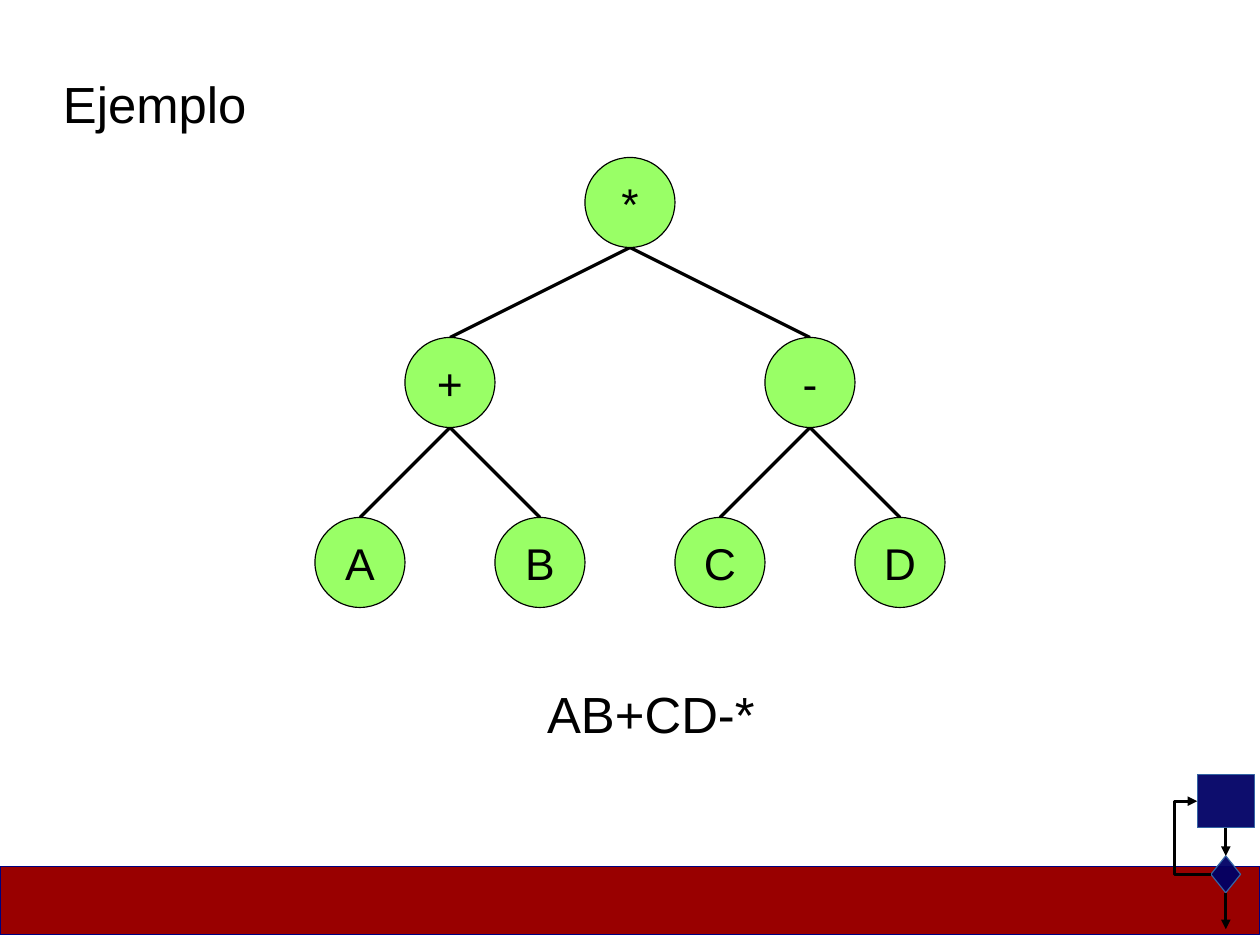
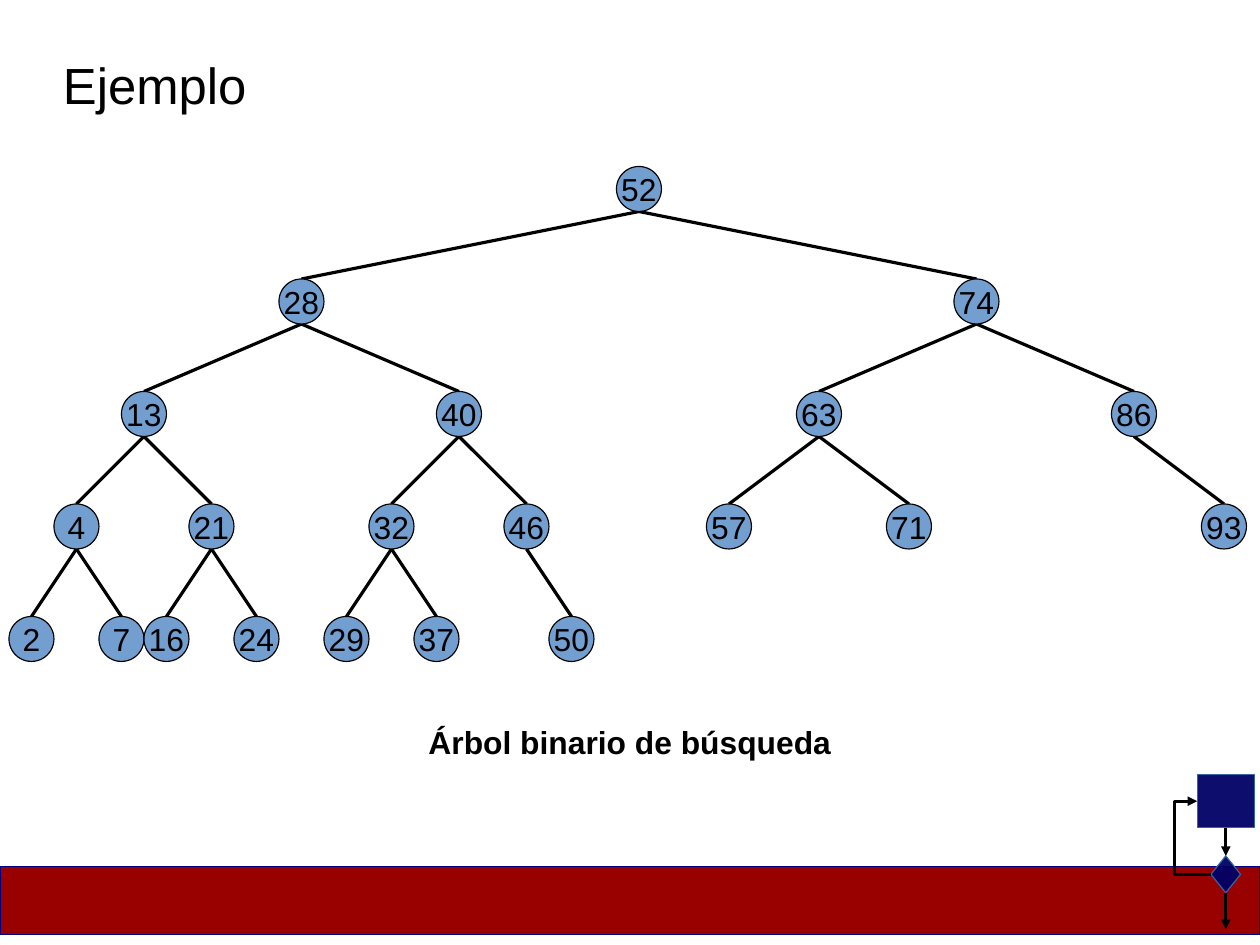
from lxml import etree
from pptx import Presentation
from pptx.dml.color import RGBColor
from pptx.enum.shapes import MSO_CONNECTOR, MSO_SHAPE
from pptx.enum.text import MSO_ANCHOR, PP_ALIGN
from pptx.oxml.ns import qn
from pptx.util import Cm, Pt

RECTANGLE = MSO_SHAPE.RECTANGLE
ELLIPSE = MSO_SHAPE.OVAL
PROCESS = MSO_SHAPE.FLOWCHART_PROCESS
DECISION = MSO_SHAPE.FLOWCHART_DECISION
STRAIGHT = MSO_CONNECTOR.STRAIGHT
ELBOW = MSO_CONNECTOR.ELBOW
TOP, MIDDLE = MSO_ANCHOR.TOP, MSO_ANCHOR.MIDDLE
LEFT, CENTER = PP_ALIGN.LEFT, PP_ALIGN.CENTER

SLIDE_WIDTH, SLIDE_HEIGHT = 28, 21
MARGIN = 1.4
HAIRLINE = Pt(0)
COLORS = {
    "ink": "000000",
    "band": "990000",
    "band_edge": "000080",
    "flow": "000066",
    "flow_edge": "3465A4",
    "expression_node": "99FF66",
    "search_node": "729FCF",
}
FONTS = {
    "title": {"name": "Arial", "size": Pt(32), "bold": False},
    "caption": {"name": "Arial", "size": Pt(20), "bold": True},
    "expression_node": {"name": "Arial", "size": Pt(28), "bold": False},
    "search_node": {"name": "Arial", "size": Pt(20), "bold": False},
}

EXPRESSION_TREE = ("*", 4, ("+", 2, ("A",), ("B",)), ("-", 2, ("C",), ("D",)))
SEARCH_TREE = (
    "52", 7.5,
    ("28", 3.5,
     ("13", 1.5, ("4", 1, ("2",), ("7",)), ("21", 1, ("16",), ("24",))),
     ("40", 1.5, ("32", 1, ("29",), ("37",)), ("46", 1, None, ("50",)))),
    ("74", 3.5,
     ("63", 2, ("57",), ("71",)),
     ("86", 2, None, ("93",))),
)


def color(name):
    return RGBColor.from_string(COLORS[name])


def write(frame, text, style, align, anchor, wrap):
    settings = {"word_wrap": wrap, "vertical_anchor": anchor}
    settings.update({f"margin_{side}": 0 for side in ("left", "top", "right", "bottom")})
    for key, value in settings.items():
        setattr(frame, key, value)
    para = frame.paragraphs[0]
    para.alignment = align
    span = para.add_run()
    span.text = text
    for key, value in FONTS[style].items():
        setattr(span.font, key, value)
    span.font.color.rgb = color("ink")


def add_text(page, left, top, width, height, text, style, align=LEFT):
    box = page.shapes.add_textbox(Cm(left), Cm(top), Cm(width), Cm(height))
    write(box.text_frame, text, style, align, TOP, True)


def add_box(page, kind, left, top, width, height, fill, edge, opacity=None):
    box = page.shapes.add_shape(kind, Cm(left), Cm(top), Cm(width), Cm(height))
    box.shadow.inherit = False
    box.fill.solid()
    box.fill.fore_color.rgb = color(fill)
    box.line.color.rgb = color(edge)
    box.line.width = HAIRLINE
    if opacity is not None:
        paint = box._element.spPr.find(qn("a:solidFill")).find(qn("a:srgbClr"))
        etree.SubElement(paint, qn("a:alpha"), val=str(opacity * 1000))
    return box


def add_line(page, start, end, kind=STRAIGHT, arrow=False, bend=None):
    ends = [Cm(value) for value in (*start, *end)]
    line = page.shapes.add_connector(kind, *ends)
    line.line.color.rgb = color("ink")
    line.line.width = HAIRLINE
    properties = line._element.spPr
    if arrow:
        etree.SubElement(properties.find(qn("a:ln")), qn("a:tailEnd"), type="triangle")
    if bend is not None:
        guides = properties.find(qn("a:prstGeom")).find(qn("a:avLst"))
        etree.SubElement(guides, qn("a:gd"), name="adj1", fmla=f"val {round(bend * 100000)}")
    etree.SubElement(properties, qn("a:effectLst"))


def add_tree(page, tree, center, top, diameter, step, style):
    label, *branches = tree
    if branches:
        spread, *children = branches
        for child, side in zip(children, (-1, 1)):
            if child is None:
                continue
            child_center = center + side * spread
            add_line(page, (child_center, top + step), (center, top + diameter))
            add_tree(page, child, child_center, top + step, diameter, step, style)
    node = add_box(page, ELLIPSE, center - diameter / 2, top, diameter, diameter, style, "ink")
    write(node.text_frame, label, style, CENTER, MIDDLE, False)


def add_flow_icon(page):
    center = 27.24
    process_width, process_height, process_top = 1.27, 1.17, 17.22
    decision_width, decision_height, decision_top = 0.66, 0.82, 19.02
    process_left = center - process_width / 2
    decision_left = center - decision_width / 2
    process_bottom = process_top + process_height
    decision_bottom = decision_top + decision_height
    add_box(page, DECISION, decision_left, decision_top, decision_width, decision_height,
            "flow", "flow_edge", 95)
    add_box(page, PROCESS, process_left, process_top, process_width, process_height,
            "flow", "flow_edge", 95)
    add_line(page, (center, process_bottom), (center, decision_top), arrow=True)
    add_line(page, (decision_left, decision_top + decision_height / 2),
             (process_left, process_top + process_height / 2), ELBOW, True, 2.64)
    add_line(page, (center, decision_bottom), (center, 20.65), arrow=True)


def add_page(deck, title, title_top):
    page = deck.slides.add_slide(deck.slide_layouts[6])
    add_box(page, RECTANGLE, 0, 19.25, SLIDE_WIDTH, 1.52, "band", "band_edge")
    add_flow_icon(page)
    add_text(page, MARGIN, title_top, SLIDE_WIDTH - 2 * MARGIN, 1.3, title, "title")
    return page


def main():
    deck = Presentation()
    deck.slide_width, deck.slide_height = Cm(SLIDE_WIDTH), Cm(SLIDE_HEIGHT)

    page = add_page(deck, "Ejemplo", 1.62)
    add_tree(page, EXPRESSION_TREE, 14, 3.5, 2, 4, "expression_node")
    add_text(page, 12.16, 15.18, 5.6, 1.3, "AB+CD-*", "title")

    page = add_page(deck, "Ejemplo", 1.19)
    add_tree(page, SEARCH_TREE, 14.2, 3.7, 1, 2.5, "search_node")
    add_text(page, MARGIN, 16.07, SLIDE_WIDTH - 2 * MARGIN, 0.81,
             "Árbol binario de búsqueda", "caption", CENTER)

    deck.save("out.pptx")


if __name__ == "__main__":
    main()
